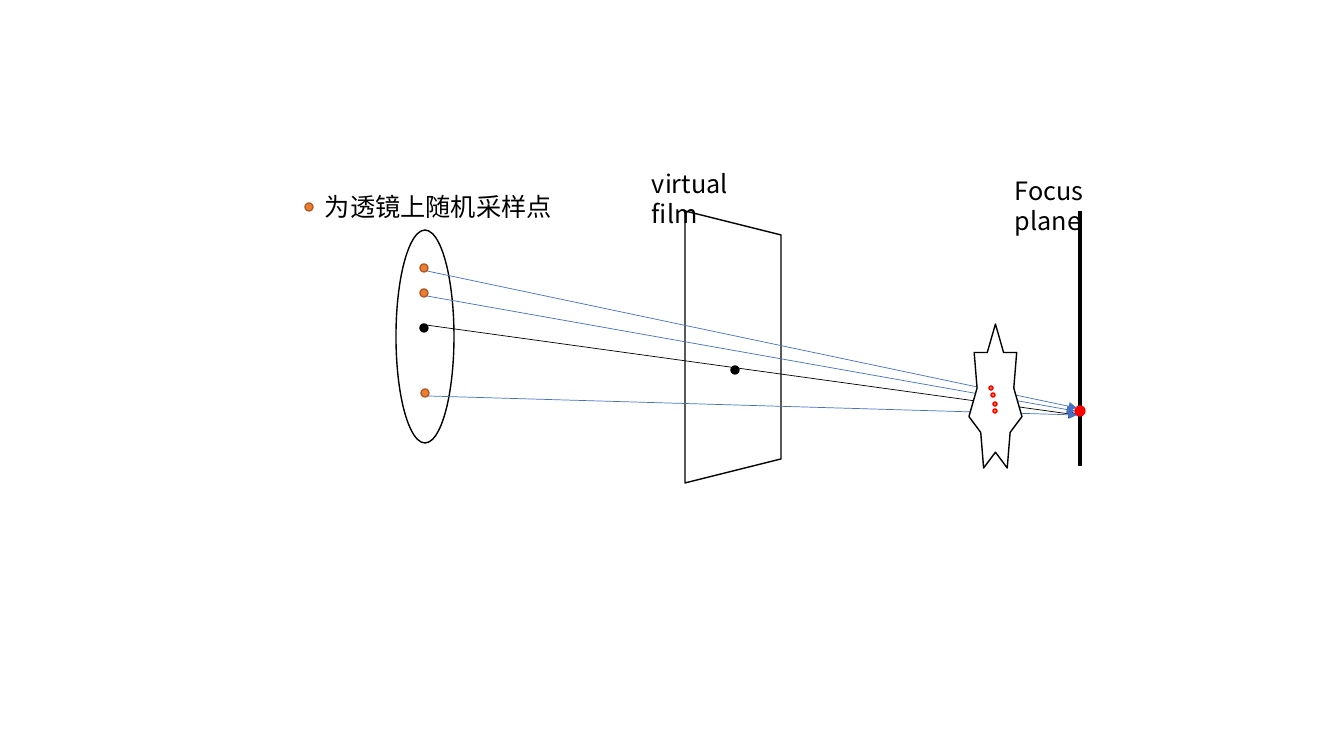
from lxml import etree
from pptx import Presentation, util as u
from pptx.dml.color import RGBColor
from pptx.enum import shapes as s, text as t
from pptx.oxml.ns import qn

BLACK = RGBColor(0x00, 0x00, 0x00)
WHITE = RGBColor(0xFF, 0xFF, 0xFF)
RED = RGBColor(0xFF, 0x00, 0x00)
ORANGE = RGBColor(0xED, 0x7D, 0x31)
BROWN = RGBColor(0xAF, 0x5C, 0x24)
BLUE = RGBColor(0x44, 0x72, 0xC4)
FONT = "Noto Sans CJK SC"
SCALE = 914400 / 100.8  # EMU per pixel

# Content: boxes are left, top, width, height; dots are given by their centre
FILM = (597, 299, 272, 96)
LENS = (396, 230, 58, 213)
OBJECT = (969, 324, 53, 144)
FOCUS_PLANE = ((1080, 211), (1080, 466))
FOCUS_POINT = (1080, 411)
LENS_CENTRE = (424, 328)
FILM_POINT = (735, 370)
LEGEND_POINT = (309, 207)
LENS_SAMPLES = [(424, 268), (424, 293), (425, 393)]
OBJECT_HITS = [(991, 388), (993, 395), (995, 404), (995, 411)]
CENTRE_RAY = ((426, 325), (1077, 415))
SAMPLE_RAYS = [((427, 271), (1077, 408)),
               ((427, 296), (1075, 411)),
               ((428, 396), (1077, 415))]
FOCUS_LABEL = ("Focus plane", (1005, 170, 150, 40))
LEGEND_LABEL = ("为透镜上随机采样点", (315, 186, 249, 40))
FILM_LABEL = ("virtual film", (642, 163, 134, 40))


def px(*lengths):
    return [u.Emu(round(length * SCALE)) for length in lengths]


def add_outline(kind, box, fill=WHITE, line=BLACK, rotation=0):
    outline = slide.shapes.add_shape(kind, *px(*box))
    outline.shadow.inherit = False
    outline.rotation = rotation
    outline.fill.solid()
    outline.fill.fore_color.rgb = fill
    outline.line.color.rgb = line
    outline.line.width = u.Pt(1)


def add_dot(centre, size=8, fill=ORANGE, line=BROWN):
    x, y = centre
    add_outline(s.MSO_SHAPE.FLOWCHART_CONNECTOR,
                (x - size / 2, y - size / 2, size, size), fill, line)


def add_line(start, end, color=BLACK, width=0.5, arrow=True):
    line = slide.shapes.add_connector(s.MSO_CONNECTOR.STRAIGHT, *px(*start, *end))
    line.line.color.rgb = color
    line.line.width = u.Pt(width)
    if arrow:
        etree.SubElement(line.line._get_or_add_ln(), qn("a:tailEnd"), type="triangle")
    etree.SubElement(line._element.spPr, qn("a:effectLst"))


def add_text(words, box, size=18, color=BLACK, font=FONT):
    frame = slide.shapes.add_textbox(*px(*box)).text_frame
    frame.word_wrap = True
    frame.auto_size = t.MSO_AUTO_SIZE.SHAPE_TO_FIT_TEXT
    run = frame.paragraphs[0].add_run()
    run.text = words
    run.font.size = u.Pt(size)
    run.font.color.rgb = color
    run.font.name = font
    etree.SubElement(run.font._element, qn("a:ea"), typeface=font)


deck = Presentation()
deck.slide_width, deck.slide_height = px(1344, 756)
slide = deck.slides.add_slide(deck.slide_layouts[6])

# Film, lens and focus plane
add_outline(s.MSO_SHAPE.TRAPEZOID, FILM, rotation=90)
add_outline(s.MSO_SHAPE.OVAL, LENS)
add_dot(LENS_CENTRE, fill=BLACK, line=BLACK)
add_line(*FOCUS_PLANE, width=2.25, arrow=False)
add_text(*FOCUS_LABEL)

# Ray through the lens centre
add_line(*CENTRE_RAY)
add_dot(FOCUS_POINT, size=10, fill=RED, line=RED)
add_dot(FILM_POINT, fill=BLACK, line=BLACK)

# Random lens samples and their rays
for sample in LENS_SAMPLES:
    add_dot(sample)
for ray in SAMPLE_RAYS:
    add_line(*ray, color=BLUE)

# Legend and film label
add_text(*LEGEND_LABEL)
add_dot(LEGEND_POINT)
add_text(*FILM_LABEL)

# Object in front of the focus plane, with the hit points
add_outline(s.MSO_SHAPE.STAR_7_POINT, OBJECT)
for hit in OBJECT_HITS:
    add_dot(hit, size=4, line=RED)

deck.save("out.pptx")
